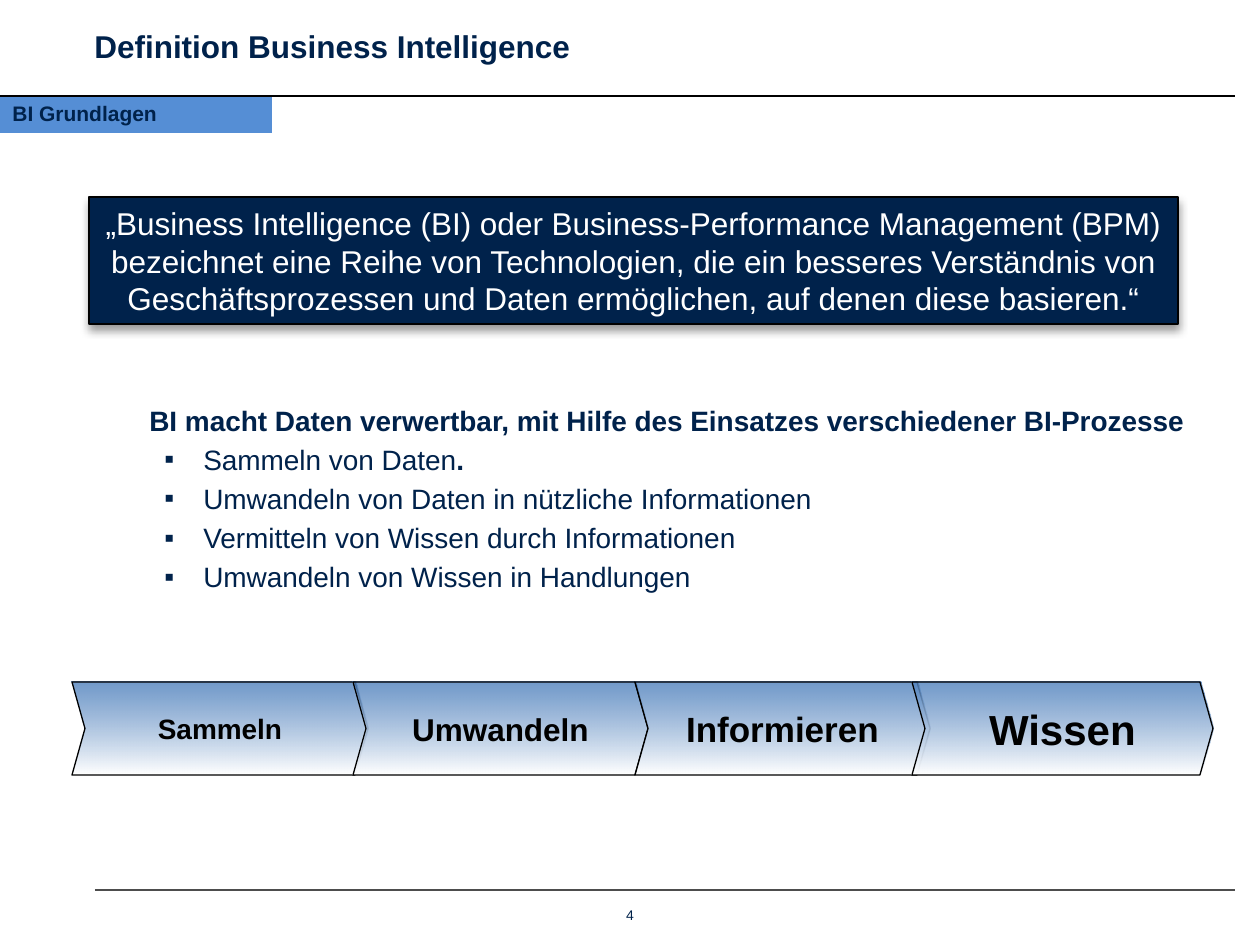
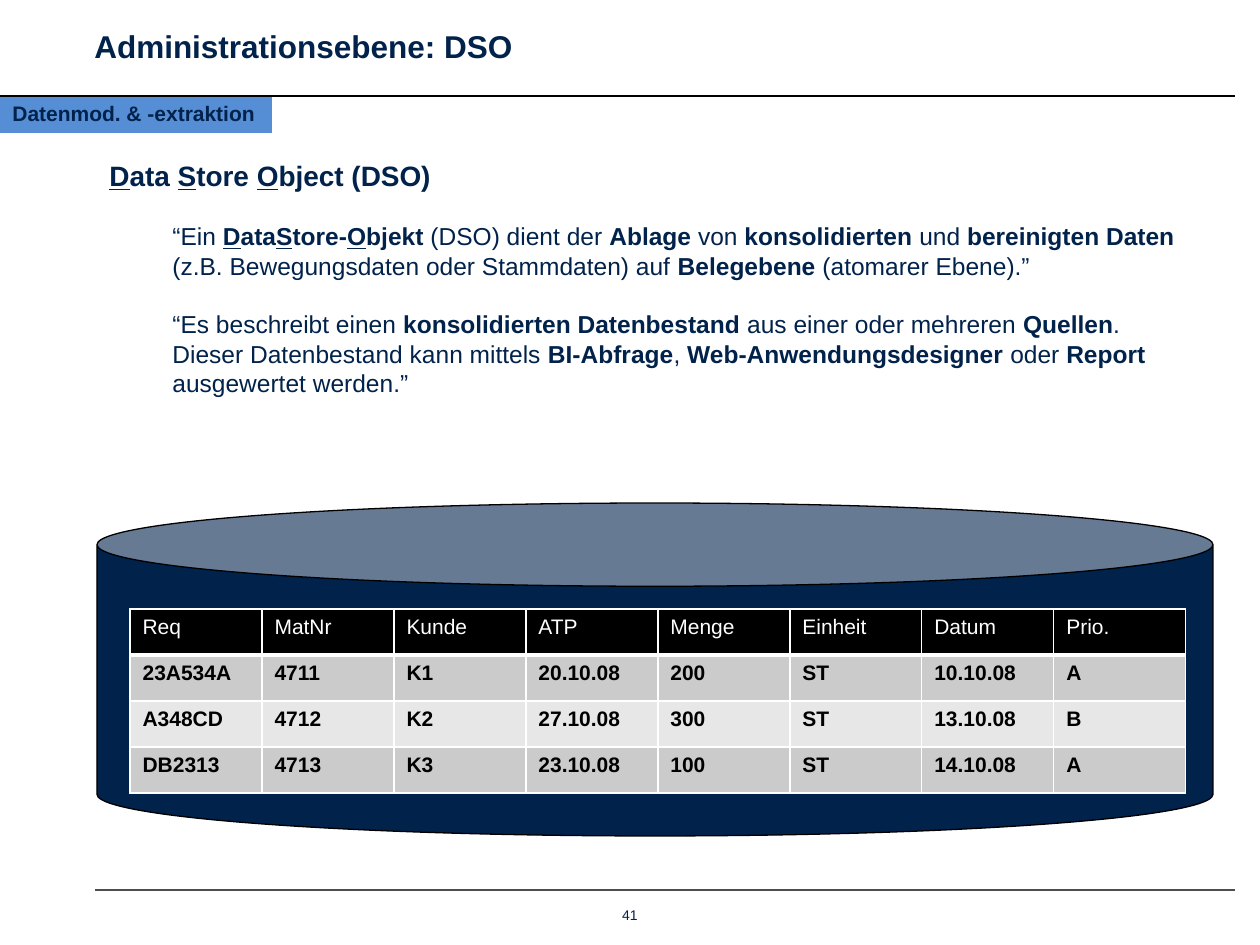
from lxml import etree
from pptx import Presentation
from pptx import util as u
from pptx.dml.color import RGBColor
from pptx.enum import shapes, text
from pptx.oxml.ns import qn

COLOURS = {
    "navy": "00224B", "band": "558ED5", "steel": "4F81BD", "white": "FFFFFF",
    "black": "000000", "rule": "4D4D4D", "odd_row": "CBCBCB", "even_row": "E7E7E7",
}
LEFT, CENTER = text.PP_ALIGN.LEFT, text.PP_ALIGN.CENTER
TOP, MIDDLE = text.MSO_ANCHOR.TOP, text.MSO_ANCHOR.MIDDLE

CHEVRONS = [("Sammeln", 72, 296, 16), ("Umwandeln", 353, 295, 18),
            ("Informieren", 635, 295, 20), ("Wissen", 912, 301, 24)]
PROCESSES = [
    [("Sammeln von Daten", ""), (".", "b")],
    [("Umwandeln von Daten in nützliche Informationen", "")],
    [("Vermitteln von Wissen durch Informationen", "")],
    [("Umwandeln von Wissen in Handlungen", "")],
]
DSO_HEADING = [("D", "bu"), ("ata ", "b"), ("S", "bu"), ("tore ", "b"),
               ("O", "bu"), ("bject (DSO)", "b")]
DSO_QUOTES = [
    [("“Ein ", ""), ("D", "bu"), ("ata", "b"), ("S", "bu"), ("tore-", "b"), ("O", "bu"),
     ("bjekt ", "b"), ("(DSO) dient der ", ""), ("Ablage ", "b"), ("von ", ""),
     ("konsolidierten ", "b"), ("und ", ""), ("bereinigten Daten", "b"),
     (" (z.B. Bewegungsdaten oder Stammdaten) auf ", ""), ("Belegebene ", "b"),
     ("(atomarer Ebene).”", "")],
    [("“Es beschreibt einen ", ""), ("konsolidierten Datenbestand ", "b"),
     ("aus einer oder mehreren ", ""), ("Quellen", "b"),
     (". Dieser Datenbestand kann mittels ", ""), ("BI-Abfrage", "b"), (", ", ""),
     ("Web-Anwendungsdesigner ", "b"), ("oder ", ""), ("Report ", "b"),
     ("ausgewertet werden.”", "")],
]
ORDERS = [
    ["Req", "MatNr", "Kunde", "ATP", "Menge", "Einheit", "Datum", "Prio."],
    ["23A534A", "4711", "K1", "20.10.08", "200", "ST", "10.10.08", "A"],
    ["A348CD", "4712", "K2", "27.10.08", "300", "ST", "13.10.08", "B"],
    ["DB2313", "4713", "K3", "23.10.08", "100", "ST", "14.10.08", "A"],
]


def px(length):
    """Turn a length in px into EMU."""
    return u.Emu(round(length * 914400 / 126))


def rgb(name):
    """Look up a colour by name."""
    return RGBColor.from_string(COLOURS[name])


def add_element(parent, tag, **attributes):
    """Append a drawing element to its parent."""
    return etree.SubElement(parent, qn(tag), {key: str(value) for key, value in attributes.items()})


class Deck:
    """Holds the shared style and the current slide."""

    def __init__(self):
        """Start an empty presentation."""
        self.presentation = Presentation()
        self.presentation.slide_width = px(1260)
        self.presentation.slide_height = px(945)
        self.slide = None

    def new_slide(self, title, chapter, number):
        """Add a slide with title, chapter band, rules and page number."""
        self.slide = self.presentation.slides.add_slide(self.presentation.slide_layouts[6])
        band = self.shape("RECTANGLE", (0, 96, 272, 37), "band", line=None)
        band.text_frame.word_wrap = False
        paragraph = self.paragraph(band, [(chapter, "b")], 12)
        paragraph.line_spacing = 0.9
        self.rule(95, 890, "rule")
        self.rule(0, 96, "black")
        self.paragraph(self.box((571, 900, 118, 29)), [(str(number), "")], 8, align=CENTER)
        self.paragraph(self.box((82, 6, 934, 79), MIDDLE), [(title, "b")], 18)

    def shape(self, kind, area, fill=None, line="black"):
        """Add a preset shape with an optional flat fill and outline."""
        shape = self.slide.shapes.add_shape(getattr(shapes.MSO_SHAPE, kind), *map(px, area))
        shape.shadow.inherit = False
        if fill:
            shape.fill.solid()
            shape.fill.fore_color.rgb = rgb(fill)
        if line:
            shape.line.color.rgb = rgb(line)
            shape.line.width = u.Pt(0.75)
        else:
            shape.line.fill.background()
        shape.text_frame.vertical_anchor = MIDDLE
        return shape

    def drop_shadow(self, shape):
        """Give a shape a soft shadow below it."""
        effects = shape._element.spPr.find(qn("a:effectLst"))
        shadow = add_element(effects, "a:outerShdw", blurRad=u.Pt(5), dist=u.Pt(3),
                             dir=5400000, algn="t", rotWithShape=0)
        colour = add_element(shadow, "a:srgbClr", val=COLOURS["black"])
        add_element(colour, "a:alpha", val=40000)

    def chevron(self, label, left, width, size):
        """Add one step of the process chain."""
        shape = self.shape("CHEVRON", (left, 682, width, 93))
        shape.adjustments[0] = 0.14
        shape.fill.gradient()
        shape.fill.gradient_angle = 270
        for stop, position, name in zip(shape.fill.gradient_stops, (0, 1), ("steel", "white")):
            stop.position = position
            stop.color.rgb = rgb(name)
        first_colour = next(shape._element.spPr.iter(qn("a:srgbClr")))
        add_element(first_colour, "a:alpha", val=80000)
        self.paragraph(shape, [(label, "b")], size, "black", CENTER)

    def box(self, area, anchor=TOP):
        """Add a wrapping text box."""
        shape = self.slide.shapes.add_textbox(*map(px, area))
        shape.text_frame.word_wrap = True
        shape.text_frame.vertical_anchor = anchor
        return shape

    def paragraph(self, holder, runs, size, colour="navy", align=LEFT,
                  before=0, indent=0, bullet=None):
        """Put one paragraph of styled runs into a shape or cell."""
        frame = holder.text_frame
        paragraph = frame.paragraphs[0]
        if paragraph.runs:
            paragraph = frame.add_paragraph()
            paragraph.space_before = u.Pt(before)
        paragraph.alignment = align
        properties = paragraph._p.get_or_add_pPr()
        if indent:
            properties.set("marL", str(px(indent)))
        if bullet:
            properties.set("indent", str(-px(39)))
            add_element(properties, "a:buFont", typeface="Arial")
            add_element(properties, "a:buChar", char=bullet)
        for words, style in runs:
            run = paragraph.add_run()
            run.text = words
            run.font.name = "Arial"
            run.font.size = u.Pt(size)
            run.font.bold = "b" in style
            run.font.underline = "u" in style
            run.font.color.rgb = rgb(colour)
        return paragraph

    def rule(self, left, top, colour):
        """Draw a horizontal line to the right margin."""
        line = self.slide.shapes.add_connector(
            shapes.MSO_CONNECTOR.STRAIGHT, px(left), px(top), px(1235), px(top))
        line.line.color.rgb = rgb(colour)
        line.line.width = u.Pt(0.75)
        add_element(line._element.spPr, "a:effectLst")

    def table(self, rows, left, top, column_width, row_height):
        """Add a table with a dark header and banded rows."""
        area = (left, top, column_width * len(rows[0]), row_height * len(rows))
        table = self.slide.shapes.add_table(len(rows), len(rows[0]), *map(px, area)).table
        table.first_row = table.horz_banding = False
        for row_index, values in enumerate(rows):
            header = row_index == 0
            fill = "black" if header else "odd_row" if row_index % 2 else "even_row"
            widths = {"L": 1, "R": 1, "T": 3 if row_index == 1 else 1, "B": 3 if header else 1}
            for column_index, value in enumerate(values):
                cell = table.cell(row_index, column_index)
                self.paragraph(cell, [(value, "" if header else "b")], 12,
                               "white" if header else "black")
                self.borders(cell, widths)
                cell.fill.solid()
                cell.fill.fore_color.rgb = rgb(fill)

    def borders(self, cell, widths):
        """Draw white borders of the given widths around a cell."""
        properties = cell._tc.get_or_add_tcPr()
        for side, width in widths.items():
            line = add_element(properties, f"a:ln{side}", w=u.Pt(width))
            add_element(add_element(line, "a:solidFill"), "a:srgbClr", val=COLOURS["white"])


def build_definition(deck):
    """Build the slide that defines business intelligence."""
    deck.new_slide("Definition Business Intelligence", "BI Grundlagen", 4)
    quote = deck.shape("RECTANGLE", (89, 197, 1089, 127), "navy")
    deck.drop_shadow(quote)
    deck.paragraph(quote, [(
        "„Business Intelligence (BI) oder Business-Performance Management (BPM) "
        "bezeichnet eine Reihe von Technologien, die ein besseres Verständnis von "
        "Geschäftsprozessen und Daten ermöglichen, auf denen diese basieren.“", "")],
        18, "white", CENTER)
    body = deck.box((89, 397, 1149, 279))
    deck.paragraph(body, [(
        "BI macht Daten verwertbar, mit Hilfe des Einsatzes verschiedener BI-Prozesse", "b")],
        16, indent=48)
    for process in PROCESSES:
        deck.paragraph(body, process, 16, before=3.2, indent=102, bullet="▪")
    for chevron in CHEVRONS:
        deck.chevron(*chevron)


def build_dso(deck):
    """Build the slide about the data store object."""
    deck.new_slide("Administrationsebene: DSO", "Datenmod. & -extraktion", 41)
    cylinder = deck.shape("CAN", (97, 503, 1116, 333), "navy")
    cylinder.adjustments[0] = 0.25
    body = deck.box((97, 152, 1105, 252))
    deck.paragraph(body, DSO_HEADING, 16)
    for quote in DSO_QUOTES:
        deck.paragraph(body, quote, 14, before=16.8, indent=63)
    deck.table(ORDERS, 130, 609, 132, 46)


def main():
    """Build both slides and save them."""
    deck = Deck()
    build_definition(deck)
    build_dso(deck)
    deck.presentation.save("out.pptx")


if __name__ == "__main__":
    main()
